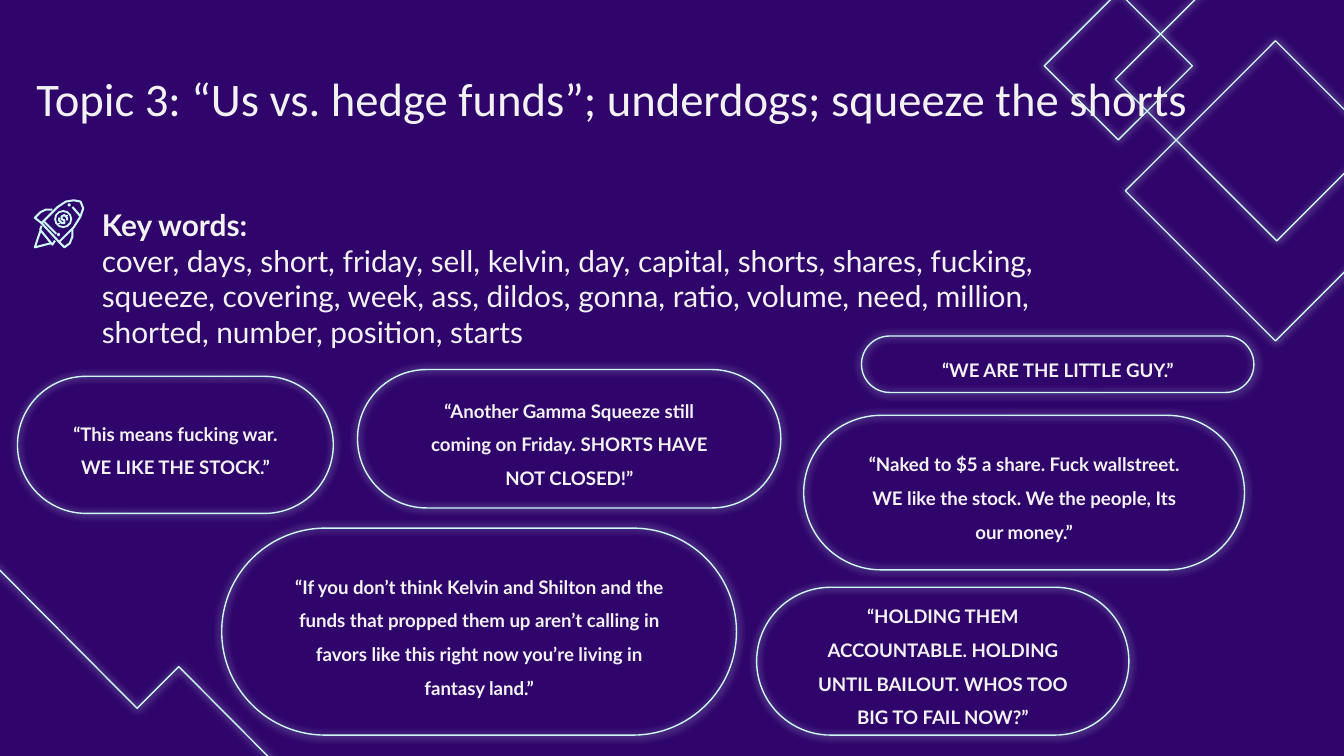
from lxml.etree import SubElement
from pptx import Presentation
from pptx.dml.color import RGBColor
from pptx.enum.shapes import MSO_SHAPE as Shape
from pptx.enum.text import MSO_ANCHOR as Anchor, PP_ALIGN as Align
from pptx.oxml.ns import qn
from pptx.util import Inches, Pt

# Colours
PURPLE = RGBColor(0x2F, 0x04, 0x6B)
MINT = RGBColor(0xCD, 0xF8, 0xF4)
WHITE = RGBColor(0xF2, 0xF2, 0xF2)

# Content
TITLE = "Topic 3: “Us vs. hedge funds”; underdogs; squeeze the shorts"
KEYWORDS_HEAD = "Key words:"
KEYWORDS = (
    "cover, days, short, friday, sell, kelvin, day, capital, shorts, shares, "
    "fucking, squeeze, covering, week, ass, dildos, gonna, ratio, volume, need, "
    "million, shorted, number, position, starts"
)
# Quote, then left, top, width, height of its bubble
QUOTES = [
    ("“This means fucking war. WE LIKE THE STOCK.”", (0.13, 2.8, 2.35, 1.02)),
    ("“Naked to $5 a share. Fuck wallstreet. WE like the stock. "
     "We the people, Its our money.”", (5.98, 3.09, 3.28, 1.15)),
    ("“WE ARE THE LITTLE GUY.”", (6.41, 2.5, 2.92, 0.42)),
    ("“If you don’t think Kelvin and Shilton and the funds that propped them up "
     "aren’t calling in favors like this right now you’re living in fantasy land.”",
     (1.65, 3.93, 3.83, 1.54)),
    ("“HOLDING THEM ACCOUNTABLE. HOLDING UNTIL BAILOUT. WHOS TOO BIG TO FAIL NOW?”",
     (5.63, 4.37, 2.77, 1.1)),
    ("“Another Gamma Squeeze still coming on Friday. SHORTS HAVE NOT CLOSED!”",
     (2.66, 2.75, 3.15, 1.03)),
]
QUOTE_SHARE = (0.79, 0.84)  # part of a bubble's width and height that holds text

# Decoration: squares as left, top, side; outlines in hundredths of an inch
DIAMONDS = [(8.65, -0.26, 1.7), (7.93, 0.1, 0.78), (8.7, 0.63, 1.58)]
ZIGZAG = [(-57, 367), (102, 527), (133, 496), (308, 672)]
ROCKET = [
    # body
    [(31, 166), (43, 154), (49, 150), (55, 149), (60.5, 149.5), (61.5, 155),
     (60, 161), (55, 169), (43.5, 180), (31, 166)],
    # left and right fins
    [(31, 166), (26, 162), (30, 158), (34, 156), (39, 155.5)],
    [(44, 180), (48, 184), (52, 181), (54.5, 176), (54.5, 170)],
    # nozzle and flame
    [(31, 168), (29.5, 171), (39, 181.5), (41, 179)],
    [(29.5, 172), (26, 184), (38, 181)],
    # seams
    [(33, 165), (42.5, 173.5)],
    [(53.5, 153.5), (60, 161)],
    # dollar sign
    [(49.5, 164), (49.5, 162), (48, 160), (46, 161), (46, 163), (48, 164),
     (47.5, 166), (46, 166), (44.5, 164), (44.5, 162)],
    [(50.5, 160), (49.5, 161)],
    [(44.5, 166), (43.5, 167)],
]
PORTHOLE = (0.41, 1.57, 0.12, 0.12)
RIVETS = [(0.51, 1.52, 0.01, 0.01), (0.43, 1.74, 0.01, 0.01)]

# Slide in 16:9
prs = Presentation()
prs.slide_width = Inches(10)
prs.slide_height = prs.slide_width * 9 // 16
slide = prs.slides.add_slide(prs.slide_layouts[5])
slide.background.fill.solid()
slide.background.fill.fore_color.rgb = PURPLE


def style_outline(shape, width=0.75, glow=True):
    shape.shadow.inherit = False
    shape.fill.background()
    shape.line.color.rgb = MINT
    shape.line.width = Pt(width)
    if glow:
        effects = shape._element.spPr.find(qn("a:effectLst"))
        halo = SubElement(effects, qn("a:outerShdw"), blurRad=str(Pt(4.5)),
                          dist="0", dir="0", algn="bl", rotWithShape="0")
        SubElement(halo, qn("a:srgbClr"), val=str(MINT))
    return shape


def add_preset(kind, box, **style):
    shape = slide.shapes.add_shape(kind, *map(Inches, box))
    return style_outline(shape, **style)


def add_outline(strokes, **style):
    """One freeform made of several open strokes."""
    builder = slide.shapes.build_freeform(*strokes[0][0], scale=Inches(0.01))
    for number, (start, *rest) in enumerate(strokes):
        if number:
            builder.move_to(*start)
        builder.add_line_segments(rest, close=False)
    return style_outline(builder.convert_to_shape(), **style)


def write(holder, *lines, size, font="Lato", anchor=Anchor.MIDDLE,
          align=Align.LEFT, spacing=None):
    """Each line is a (text, bold) pair and becomes a paragraph."""
    frame = holder.text_frame
    frame.word_wrap = True
    frame.vertical_anchor = anchor
    frame.margin_left = frame.margin_right = Inches(0.1)
    frame.margin_top = frame.margin_bottom = Inches(0.1)
    for number, (text, bold) in enumerate(lines):
        para = frame.add_paragraph() if number else frame.paragraphs[0]
        para.alignment = align
        para.line_spacing = spacing
        run = para.add_run()
        run.text = text
        run.font.name, run.font.size, run.font.bold = font, Pt(size), bold
        run.font.color.rgb = WHITE


def add_text(box, *lines, **style):
    write(slide.shapes.add_textbox(*map(Inches, box)), *lines, **style)


# Background lines
add_outline([ZIGZAG])
for left, top, side in DIAMONDS:
    add_preset(Shape.RECTANGLE, (left, top, side, side)).rotation = 135

# Title, in front of the background lines
title = slide.shapes.title
title.left, title.top, title.width, title.height = map(
    Inches, (0.17, 0.42, 10.06, 0.87))
write(title, (TITLE, False), size=25, font="Calibri", anchor=Anchor.TOP)
title._element.getparent().append(title._element)

# Rocket icon
add_outline(ROCKET, width=1.1, glow=False)
for circle in [PORTHOLE, *RIVETS]:
    add_preset(Shape.OVAL, circle, width=1, glow=False)

# Key words
add_text((0.66, 1.49, 7.34, 1.16), (KEYWORDS_HEAD, True), (KEYWORDS, False), size=16)

# Quote bubbles
for quote, (left, top, width, height) in QUOTES:
    bubble = add_preset(Shape.ROUNDED_RECTANGLE, (left, top, width, height))
    bubble.adjustments[0] = 0.5
    inner_w, inner_h = width * QUOTE_SHARE[0], height * QUOTE_SHARE[1]
    add_text((left + (width - inner_w) / 2, top + (height - inner_h) / 2,
              inner_w, inner_h),
             (quote, True), size=10, align=Align.CENTER, spacing=1.5)

prs.save("out.pptx")
